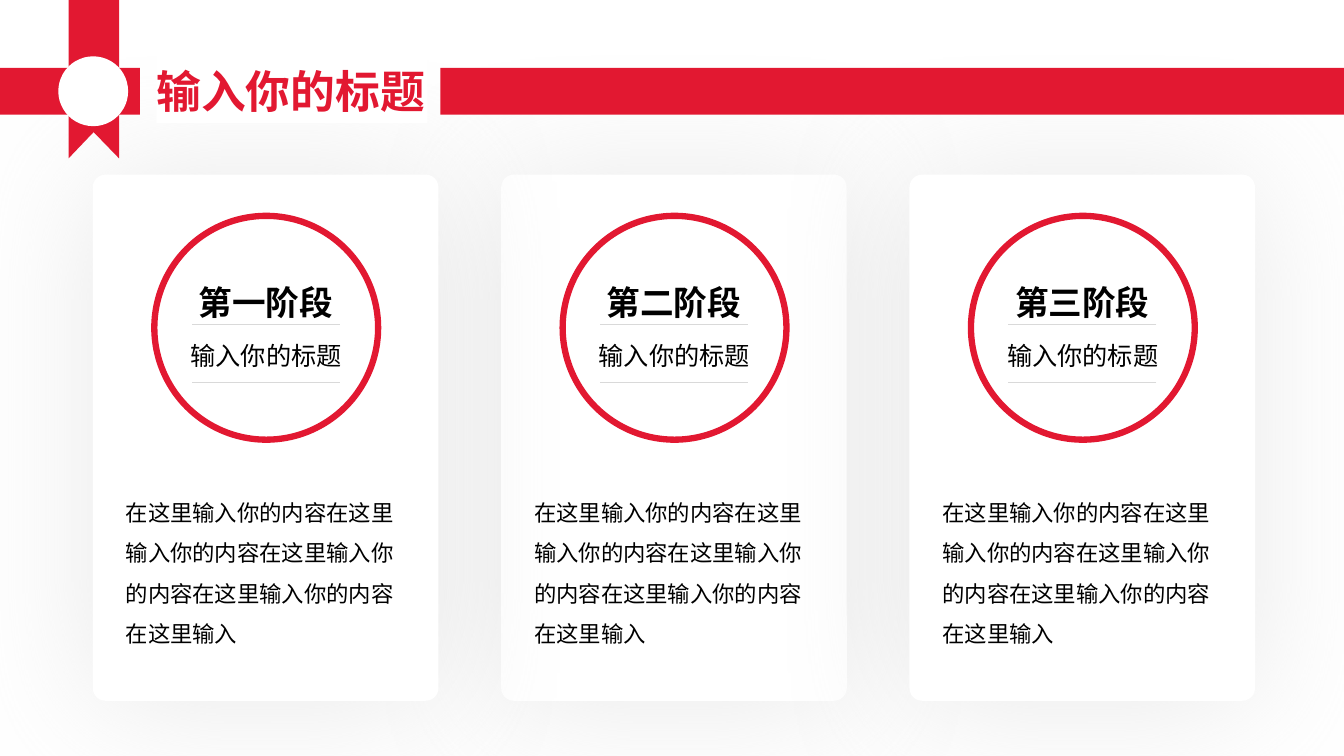
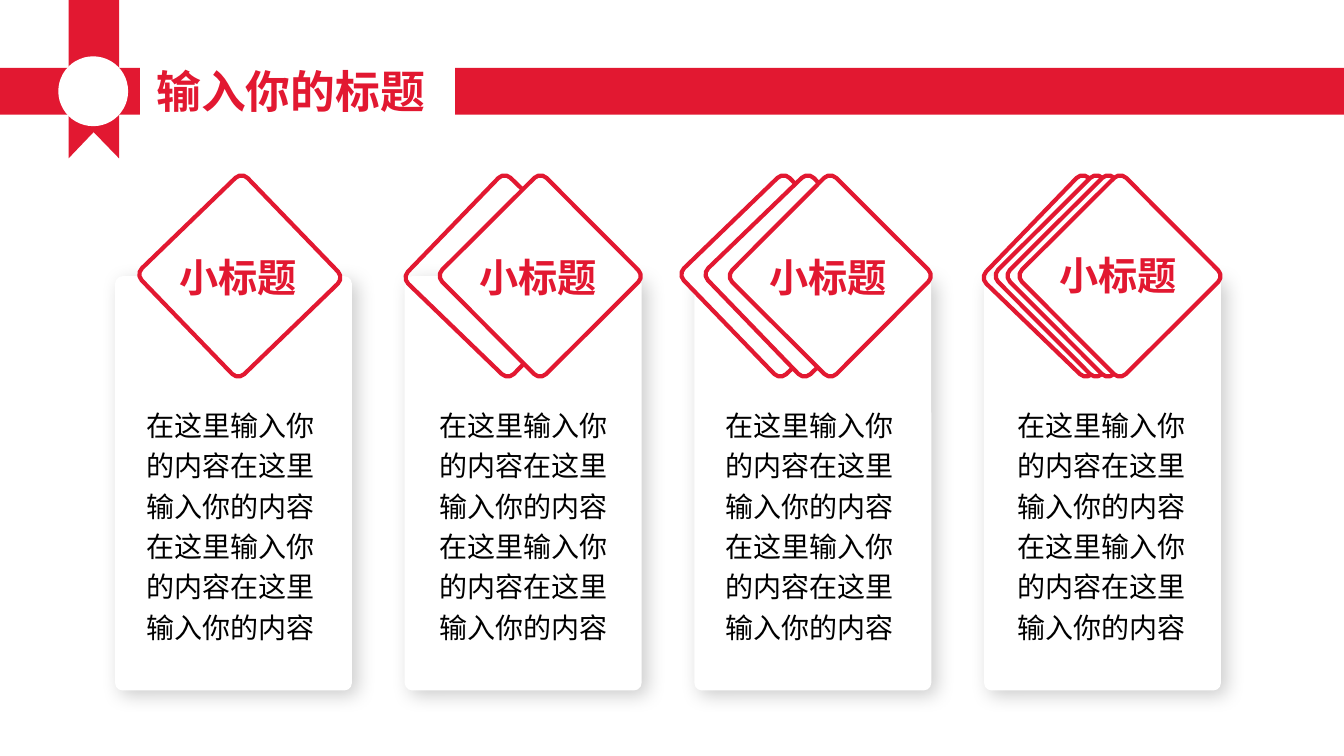
"""Build two red ribbon slides: three stage cards and four stacked diamond cards."""
import dataclasses

import lxml.etree
import pptx
import pptx.dml.color
import pptx.enum.shapes
import pptx.enum.text
import pptx.oxml.ns
import pptx.util

Cm = pptx.util.Cm
Pt = pptx.util.Pt
qn = pptx.oxml.ns.qn
SHAPE = pptx.enum.shapes.MSO_SHAPE
ALIGN = pptx.enum.text.PP_ALIGN


@dataclasses.dataclass(frozen=True)
class Theme:
    red: str = "E21831"
    white: str = "FFFFFF"
    black: str = "000000"
    rule: str = "D9D9D9"
    font: str = "Noto Sans CJK SC"
    title_font: str = "Cabin"
    title: int = 32
    label: int = 28
    stage: int = 24
    body_large: int = 20
    caption: int = 18
    body: int = 16
    soft_shadow: tuple = ("808080", 16, 100, 2, 90)
    card_shadow: tuple = ("000000", 20, 14, 5, 45)


theme = Theme()


def write(box, text, size, font=theme.font, color=theme.black, bold=False,
          align=ALIGN.LEFT, spacing=1.0, wrap=True):
    frame = box.text_frame
    frame.word_wrap = wrap
    frame.auto_size = pptx.enum.text.MSO_AUTO_SIZE.SHAPE_TO_FIT_TEXT
    para = frame.paragraphs[0]
    para.alignment = align
    para.line_spacing = spacing
    para.space_before = Pt(0)
    span = para.add_run()
    span.text = text
    span.font.size = Pt(size)
    span.font.bold = bold
    span.font.color.rgb = pptx.dml.color.RGBColor.from_string(color)
    span.font.name = font
    east_asian = lxml.etree.SubElement(span.font._element, qn("a:ea"))
    east_asian.set("typeface", theme.font)


def paint(shape, fill=None, line=None, width=0, shadow=None, corner=None, tilt=0):
    if fill:
        shape.fill.solid()
        shape.fill.fore_color.rgb = pptx.dml.color.RGBColor.from_string(fill)
    else:
        shape.fill.background()
    if line:
        shape.line.color.rgb = pptx.dml.color.RGBColor.from_string(line)
        shape.line.width = Pt(width)
    else:
        shape.line.fill.background()
    if corner is not None:
        shape.adjustments[0] = corner
    shape.rotation = tilt
    shape.shadow.inherit = False
    if shadow:
        color, alpha, blur, distance, angle = shadow
        effects = shape.element.spPr.find(qn("a:effectLst"))
        outer = lxml.etree.SubElement(
            effects, qn("a:outerShdw"), blurRad=str(Pt(blur)), dist=str(Pt(distance)),
            dir=str(angle * 60000), algn="ctr", rotWithShape="0")
        tone = lxml.etree.SubElement(outer, qn("a:srgbClr"), val=color)
        lxml.etree.SubElement(tone, qn("a:alpha"), val=str(alpha * 1000))


deck = pptx.Presentation()
deck.slide_width = Cm(33.87)
deck.slide_height = Cm(19.05)
title_only = deck.slide_layouts[5]

stage_page = deck.slides.add_slide(title_only)
shapes = stage_page.shapes
stage_text = "在这里输入你的内容" * 4 + "在这里输入"
for column, stage in ((1, "第二阶段"), (0, "第一阶段"), (2, "第三阶段")):
    left = 2.34 + 10.29 * column
    card = shapes.add_shape(SHAPE.ROUNDED_RECTANGLE, Cm(left), Cm(4.4), Cm(8.71), Cm(13.26))
    paint(card, fill=theme.white, shadow=theme.soft_shadow, corner=0.037)
    ring = shapes.add_shape(SHAPE.OVAL, Cm(left + 1.55), Cm(5.44), Cm(5.64), Cm(5.64))
    paint(ring, line=theme.red, width=4.5)
    caption = shapes.add_textbox(Cm(left + 2.08), Cm(8.31), Cm(4.57), Cm(1.12))
    write(caption, "输入你的标题", theme.caption, align=ALIGN.CENTER, spacing=1.2)
    heading = shapes.add_textbox(Cm(left + 2.13), Cm(6.78), Cm(4.45), Cm(1.4))
    write(heading, stage, theme.stage, bold=True, align=ALIGN.CENTER, spacing=1.2)
    for height in (8.18, 9.63):
        rule = shapes.add_connector(pptx.enum.shapes.MSO_CONNECTOR.STRAIGHT,
                                    Cm(left + 6.22), Cm(height), Cm(left + 2.49), Cm(height))
        rule.line.color.rgb = pptx.dml.color.RGBColor.from_string(theme.rule)
        rule.line.width = Pt(0.5)
        lxml.etree.SubElement(rule.element.spPr, qn("a:effectLst"))
    body = shapes.add_textbox(Cm(left + 0.58), Cm(12.12), Cm(7.57), Cm(4.24))
    write(body, stage_text, theme.body, spacing=1.5)

diamond_page = deck.slides.add_slide(title_only)
shapes = diamond_page.shapes
stacks = (
    # tilts from back to front, step, left of front diamond, left of body, top of label
    ((46,), 0, 4.19, 3.45, 6.25),
    ((44, 45.1), 0.86, 11.76, 10.82, 6.25),
    ((46, 46, 44.9), 0.61, 19.07, 18.03, 6.25),
    ((44, 45.1, 45.1, 45.1), 0.3, 26.37, 25.4, 6.2),
)
for column, (tilts, step, front, body_left, label_top) in enumerate(stacks):
    card = shapes.add_shape(SHAPE.ROUNDED_RECTANGLE, Cm(2.9 + 7.3 * column), Cm(6.96),
                            Cm(5.97), Cm(10.44))
    paint(card, fill=theme.white, shadow=theme.card_shadow, corner=0.032)
    for depth, tilt in enumerate(tilts):
        left = front - step * (len(tilts) - 1 - depth)
        diamond = shapes.add_shape(SHAPE.ROUNDED_RECTANGLE, Cm(left), Cm(5.1), Cm(3.71), Cm(3.71))
        paint(diamond, fill=None if tilt == 44 else theme.white, line=theme.red, width=3,
              corner=0.058, tilt=tilt)
    label = shapes.add_textbox(Cm(front - 0.81), Cm(label_top), Cm(5.23), Cm(1.45))
    write(label, "小标题", theme.label, color=theme.red, bold=True, align=ALIGN.CENTER)
    body = shapes.add_textbox(Cm(body_left), Cm(10), Cm(5.4), Cm(6.32))
    write(body, "在这里输入你的内容" * 4, theme.body_large, spacing=1.2)

for page, band_left, title_width in ((stage_page, 11.1, 6.83), (diamond_page, 11.47, 7.16)):
    shapes = page.shapes
    for left, right in ((0, 3.53), (band_left, 33.87)):
        band = shapes.add_shape(SHAPE.RECTANGLE, Cm(left), Cm(1.71), Cm(right - left), Cm(1.18))
        paint(band, fill=theme.red)
    outline = shapes.build_freeform(Cm(3), Cm(0))
    outline.add_line_segments([(Cm(x), Cm(y)) for x, y in
                               ((1.73, 0), (1.73, 3.99), (2.36, 3.33), (3, 3.99))])
    paint(outline.convert_to_shape(), fill=theme.red)
    knot = shapes.add_shape(SHAPE.OVAL, Cm(1.47), Cm(1.42), Cm(1.76), Cm(1.76))
    paint(knot, fill=theme.white)

    title = shapes.title
    title.left, title.top, title.width, title.height = Cm(3.94), Cm(1.6), Cm(title_width), Cm(1.5)
    title.fill.solid()
    title.fill.fore_color.rgb = pptx.dml.color.RGBColor.from_string(theme.white)
    frame = title.text_frame
    frame.margin_left = frame.margin_right = Cm(0)
    frame.margin_top = frame.margin_bottom = Cm(0.13)
    frame.vertical_anchor = pptx.enum.text.MSO_ANCHOR.BOTTOM
    write(title, "输入你的标题", theme.title, font=theme.title_font, color=theme.red,
          bold=True, spacing=0.9, wrap=False)
    shapes.element.append(title.element)

deck.save("out.pptx")
